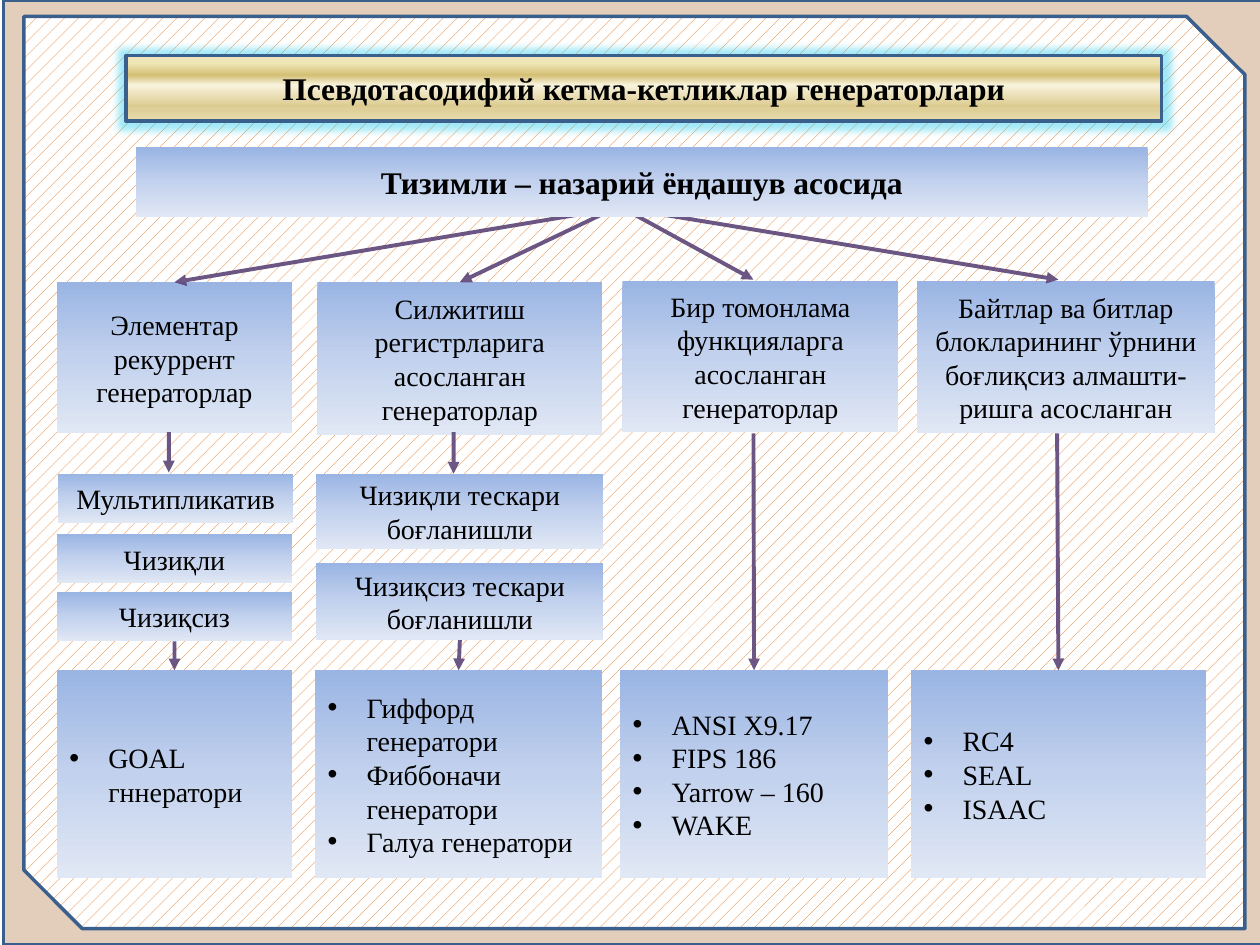
from dataclasses import dataclass
from typing import Optional

from lxml.etree import SubElement
from pptx import Presentation
from pptx.dml.color import RGBColor
from pptx.enum.dml import MSO_PATTERN
from pptx.enum.shapes import MSO_CONNECTOR, MSO_SHAPE
from pptx.enum.text import MSO_ANCHOR, MSO_AUTO_SIZE, PP_ALIGN
from pptx.oxml.ns import qn
from pptx.util import Inches, Pt


@dataclass(frozen=True)
class Theme:
    font: str = "Times New Roman"
    heading_size: int = 18
    text_size: int = 16
    text: str = "000000"
    border: str = "3A5F8C"
    backdrop: str = "984807"
    hatch: str = "E46C0A"
    paper: str = "FFFFFF"
    arrow: str = "604A7B"
    glow: str = "31CFEF"
    blue: tuple = ((0, "9AB5E4"), (50, "C2D1ED"), (100, "E1E8F5"))
    gold: tuple = ((0, "EBE3BD"), (12, "EFE6B6"), (30, "D4BF75"),
                   (45, "F8F3DD"), (77, "DDCC92"), (100, "E6DCAC"))


@dataclass(frozen=True)
class Area:
    left: float
    top: float
    width: float
    height: float

    def lengths(self) -> tuple:
        return tuple(map(Inches, (self.left, self.top, self.width, self.height)))


@dataclass(frozen=True)
class Box:
    area: Area
    text: str


@dataclass(frozen=True)
class BulletList:
    placeholder: int
    area: Area
    items: tuple


@dataclass(frozen=True)
class Arrow:
    """Ends left as None are taken from the box the arrow is joined to."""
    start: Optional[tuple]
    end: Optional[tuple]
    start_box: Optional[str] = None
    end_box: Optional[str] = None


THEME = Theme()
TOP, BOTTOM = 0, 2

TITLE = "Псевдотасодифий кетма-кетликлар генераторлари"
ROOT = Box(Area(1.08, 1.17, 8.03, 0.55), "Тизимли – назарий ёндашув асосида")

BOXES = {
    "recurrent": Box(Area(0.45, 2.24, 1.87, 1.2), "Элементар рекуррент генераторлар"),
    "shift": Box(Area(2.52, 2.24, 2.26, 1.21),
                 "Силжитиш регистрларига асосланган генераторлар"),
    "one_way": Box(Area(4.94, 2.23, 2.19, 1.2),
                   "Бир томонлама функцияларга асосланган генераторлар"),
    "blocks": Box(Area(7.28, 2.23, 2.36, 1.21),
                  "Байтлар ва битлар блокларининг ўрнини боғлиқсиз алмашти-ришга асосланган"),
    "multiplicative": Box(Area(0.46, 3.76, 1.87, 0.39), "Мультипликатив"),
    "linear": Box(Area(0.45, 4.24, 1.87, 0.39), "Чизиқли"),
    "nonlinear": Box(Area(0.45, 4.7, 1.87, 0.39), "Чизиқсиз"),
    "linear_feedback": Box(Area(2.51, 3.76, 2.28, 0.6), "Чизиқли тескари боғланишли"),
    "nonlinear_feedback": Box(Area(2.51, 4.47, 2.28, 0.61), "Чизиқсиз тескари боғланишли"),
}

LISTS = {
    "recurrent_list": BulletList(1, Area(0.45, 5.32, 1.87, 1.65), ("GOAL гннератори",)),
    "shift_list": BulletList(2, Area(2.5, 5.32, 2.28, 1.65),
                             ("Гиффорд генератори", "Фиббоначи генератори",
                              "Галуа генератори")),
    "one_way_list": BulletList(3, Area(4.92, 5.32, 2.13, 1.65),
                               ("ANSI X9.17", "FIPS 186", "Yarrow – 160", "WAKE")),
    "blocks_list": BulletList(4, Area(7.23, 5.32, 2.34, 1.65), ("RC4", "SEAL", "ISAAC")),
}

ARROWS = (
    Arrow((4.61, 1.7), None, end_box="recurrent"),
    Arrow((4.78, 1.7), None, end_box="shift"),
    Arrow((5.03, 1.7), (5.98, 2.22)),
    Arrow((5.24, 1.7), (8.4, 2.22)),
    Arrow((1.34, 3.43), (1.34, 3.75)),
    Arrow((3.6, 3.43), (3.6, 3.76)),
    Arrow(None, None, "nonlinear", "recurrent_list"),
    Arrow(None, None, "nonlinear_feedback", "shift_list"),
    Arrow((5.98, 3.44), None, end_box="one_way_list"),
    Arrow((8.39, 3.44), None, end_box="blocks_list"),
)


def rgb(value: str) -> RGBColor:
    return RGBColor.from_string(value)


def set_alpha(parent, percent: int) -> None:
    """Make the first plain colour under an element translucent."""
    colour = next(parent.iter(qn("a:srgbClr")))
    SubElement(colour, qn("a:alpha"), val=str(percent * 1000))


def fill_gradient(shape, stops: tuple) -> None:
    """Fill from top to bottom with any number of (percent, colour) stops."""
    shape.fill.gradient()
    shape.fill.gradient_angle = 270
    stop_list = next(shape._element.spPr.iter(qn("a:gsLst")))
    for old_stop in list(stop_list):
        stop_list.remove(old_stop)
    for percent, colour in stops:
        stop = SubElement(stop_list, qn("a:gs"), pos=str(percent * 1000))
        SubElement(stop, qn("a:srgbClr"), val=colour)


def draw_border(shape) -> None:
    shape.line.color.rgb = rgb(THEME.border)
    shape.line.width = Pt(2)


def place(shape, area: Area) -> None:
    shape.left, shape.top, shape.width, shape.height = area.lengths()


def write(shape, lines: tuple, size: int, bold: bool = False, bullets: bool = False) -> None:
    frame = shape.text_frame
    frame.word_wrap = True
    frame.auto_size = MSO_AUTO_SIZE.NONE
    frame.vertical_anchor = MSO_ANCHOR.MIDDLE
    for index, line in enumerate(lines):
        paragraph = frame.add_paragraph() if index else frame.paragraphs[0]
        if bullets:
            properties = paragraph._p.get_or_add_pPr()
            properties.set("marL", str(Inches(0.31)))
            properties.set("indent", str(-Inches(0.31)))
            SubElement(properties, qn("a:buFont"), typeface="Arial")
            SubElement(properties, qn("a:buChar"), char="•")
        paragraph.alignment = PP_ALIGN.LEFT if bullets else PP_ALIGN.CENTER
        paragraph.space_before = Pt(0)
        run = paragraph.add_run()
        run.text = line
        run.font.name, run.font.size, run.font.bold = THEME.font, Pt(size), bold
        run.font.color.rgb = rgb(THEME.text)


def draw_background(slide) -> None:
    """Put the tinted backdrop and the hatched panel behind the placeholders."""
    backdrop = slide.shapes.add_shape(MSO_SHAPE.RECTANGLE, *Area(0.03, 0, 10, 7.5).lengths())
    backdrop.fill.solid()
    backdrop.fill.fore_color.rgb = rgb(THEME.backdrop)
    set_alpha(backdrop._element.spPr, 27)
    panel = slide.shapes.add_shape(MSO_SHAPE.SNIP_2_DIAG_RECTANGLE,
                                   *Area(0.19, 0.13, 9.69, 7.24).lengths())
    panel.adjustments[0], panel.adjustments[1] = 0, 0.064
    panel.fill.patterned()
    panel.fill.pattern = MSO_PATTERN.PERCENT_10
    panel.fill.fore_color.rgb = rgb(THEME.hatch)
    panel.fill.back_color.rgb = rgb(THEME.paper)
    for position, shape in enumerate((backdrop, panel), start=2):
        draw_border(shape)
        shape.shadow.inherit = False
        slide.shapes._spTree.insert(position, shape._element)


def draw_title(slide) -> None:
    title = slide.shapes.title
    place(title, Area(1, 0.44, 8.22, 0.52))
    fill_gradient(title, THEME.gold)
    draw_border(title)
    title.shadow.inherit = False
    effects = title._element.spPr.find(qn("a:effectLst"))
    glow = SubElement(effects, qn("a:glow"), rad=str(Inches(0.11)))
    SubElement(glow, qn("a:srgbClr"), val=THEME.glow)
    set_alpha(glow, 45)
    write(title, (TITLE,), THEME.heading_size, bold=True)


def draw_box(slide, box: Box, size: int = THEME.text_size, bold: bool = False):
    shape = slide.shapes.add_shape(MSO_SHAPE.RECTANGLE, *box.area.lengths())
    shape.shadow.inherit = False
    shape.line.fill.background()
    fill_gradient(shape, THEME.blue)
    write(shape, (box.text,), size, bold)
    return shape


def draw_list(slide, bullet_list: BulletList):
    shape = slide.placeholders[bullet_list.placeholder]
    place(shape, bullet_list.area)
    fill_gradient(shape, THEME.blue)
    write(shape, bullet_list.items, THEME.text_size, bullets=True)
    return shape


def draw_arrow(slide, arrow: Arrow, shapes: dict) -> None:
    ends = (*(arrow.start or (0, 0)), *(arrow.end or (0, 0)))
    connector = slide.shapes.add_connector(MSO_CONNECTOR.STRAIGHT, *map(Inches, ends))
    if arrow.start_box:
        connector.begin_connect(shapes[arrow.start_box], BOTTOM)
    if arrow.end_box:
        connector.end_connect(shapes[arrow.end_box], TOP)
    connector.line.color.rgb = rgb(THEME.arrow)
    connector.line.width = Pt(2.25)
    properties = connector._element.spPr
    set_alpha(properties, 92)
    SubElement(properties.find(qn("a:ln")), qn("a:tailEnd"), type="triangle")
    SubElement(properties, qn("a:effectLst"))


def main() -> None:
    presentation = Presentation()
    presentation.slide_width, presentation.slide_height = Inches(10), Inches(7.5)
    comparison_layout = presentation.slide_layouts[4]
    slide = presentation.slides.add_slide(comparison_layout)
    draw_background(slide)
    draw_title(slide)
    shapes = {name: draw_list(slide, item) for name, item in LISTS.items()}
    shapes.update({name: draw_box(slide, box) for name, box in BOXES.items()})
    for arrow in ARROWS:
        draw_arrow(slide, arrow, shapes)
    draw_box(slide, ROOT, THEME.heading_size, bold=True)
    presentation.save("out.pptx")


if __name__ == "__main__":
    main()
